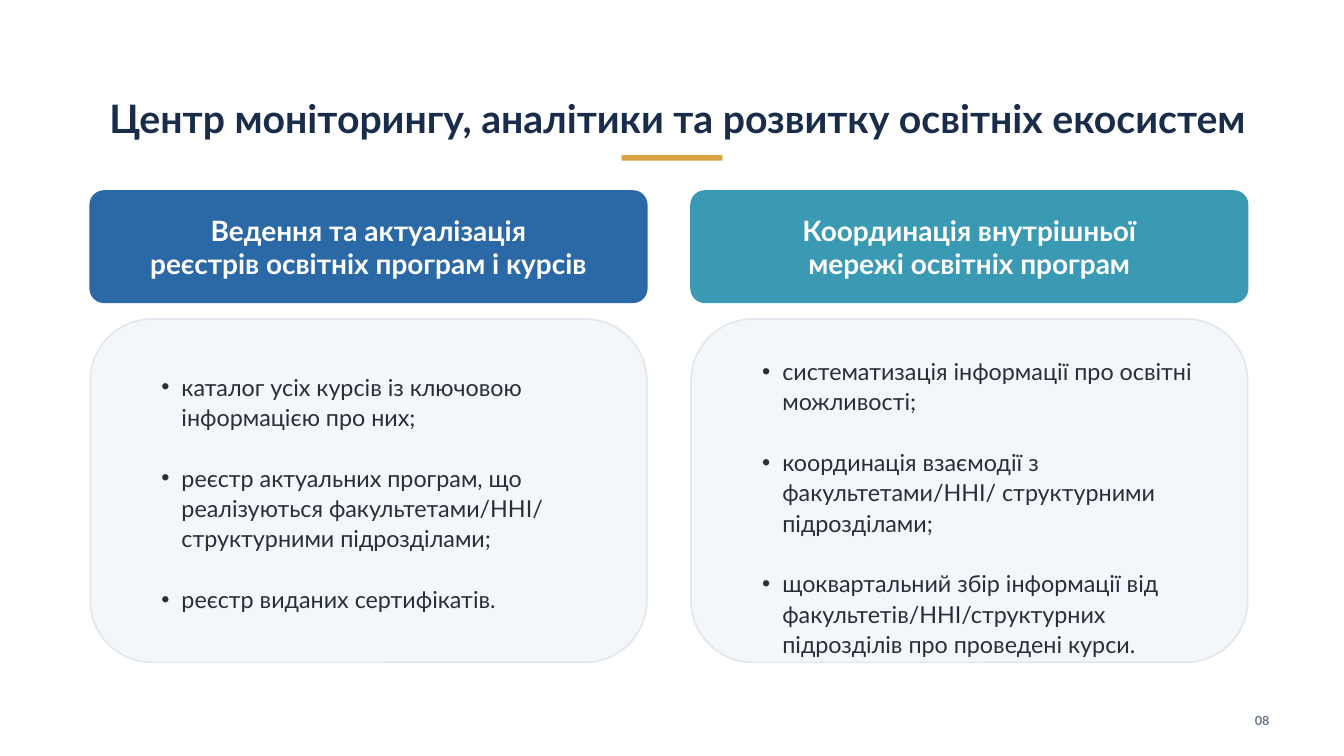
"""Build a two-column slide on the work of an educational monitoring centre."""
from pptx import Presentation
from pptx import util as u
from pptx.dml.color import RGBColor
from pptx.enum import shapes, text

NAVY = RGBColor(0x19, 0x2D, 0x4B)
GOLD = RGBColor(0xDA, 0xA5, 0x41)
BLUE = RGBColor(0x2A, 0x69, 0xA5)
TEAL = RGBColor(0x3A, 0x9A, 0xB4)
PALE = RGBColor(0xF4, 0xF7, 0xFA)
BORDER = RGBColor(0xE1, 0xE7, 0xED)
INK = RGBColor(0x26, 0x2F, 0x3A)
GREY = RGBColor(0x69, 0x78, 0x8A)
WHITE = RGBColor(0xFF, 0xFF, 0xFF)

TOP, MIDDLE = text.MSO_ANCHOR.TOP, text.MSO_ANCHOR.MIDDLE
LEFT, CENTER, RIGHT = text.PP_ALIGN.LEFT, text.PP_ALIGN.CENTER, text.PP_ALIGN.RIGHT
RECTANGLE, ROUNDED = shapes.MSO_SHAPE.RECTANGLE, shapes.MSO_SHAPE.ROUNDED_RECTANGLE

COLUMNS = [
    {
        "heading": ["Ведення та актуалізація", "реєстрів освітніх програм і курсів"],
        "color": BLUE,
        "list_top": 14,
        "list_height": 9.07,
        "items": [
            "каталог усіх курсів із ключовою інформацією про них;",
            "реєстр актуальних програм, що реалізуються факультетами/ННІ/ структурними підрозділами;",
            "реєстр виданих сертифікатів.",
        ],
    },
    {
        "heading": ["Координація внутрішньої", "мережі освітніх програм"],
        "color": TEAL,
        "list_top": 13.41,
        "list_height": 10.21,
        "items": [
            "систематизація інформації про освітні можливості;",
            "координація взаємодії з факультетами/ННІ/ структурними підрозділами;",
            "щоквартальний збір інформації від факультетів/ННІ/структурних підрозділів про проведені курси.",
        ],
    },
]


def write(box, lines, size, color, spacing, align, bold=True, anchor=TOP, gap=0, margin=0):
    frame = box.text_frame
    frame_format = {
        "word_wrap": True,
        "auto_size": text.MSO_AUTO_SIZE.NONE,
        "vertical_anchor": anchor,
        **{f"margin_{side}": u.Cm(margin) for side in ("left", "top", "right", "bottom")},
    }
    for name, value in frame_format.items():
        setattr(frame, name, value)
    for index, line in enumerate(lines):
        para = frame.paragraphs[0] if index == 0 else frame.add_paragraph()
        para_format = {
            "alignment": align,
            "line_spacing": u.Pt(spacing),
            "space_before": u.Pt(gap if index else 0),
            "space_after": u.Pt(0),
        }
        for name, value in para_format.items():
            setattr(para, name, value)
        span = para.add_run()
        span.text = line
        span.font.color.rgb = color
        for name, value in {"name": "Lato", "size": u.Pt(size), "bold": bold}.items():
            setattr(span.font, name, value)


def add_panel(page, kind, place, fill, line=None):
    panel = page.shapes.add_shape(kind, *map(u.Cm, place))
    panel.shadow.inherit = False
    panel.fill.solid()
    panel.fill.fore_color.rgb = fill
    if line is None:
        panel.line.fill.background()
    else:
        panel.line.color.rgb = line
        panel.line.width = u.Pt(1.75)
    return panel


deck = Presentation()
deck.slide_width, deck.slide_height = u.Cm(50.8), u.Cm(28.58)
page = deck.slides.add_slide(deck.slide_layouts[3])
title, *lists = page.placeholders

title.left, title.top, title.width, title.height = map(u.Cm, (4.06, 3.58, 43.1, 1.78))
write(title, ["Центр моніторингу, аналітики та розвитку освітніх екосистем"], 42, NAVY, 50.4, CENTER)
add_panel(page, RECTANGLE, (23.5, 5.87, 3.81, 0.2), GOLD)

for index, (column, box) in enumerate(zip(COLUMNS, lists)):
    left = 3.38 + 22.71 * index
    header = add_panel(page, ROUNDED, (left, 7.19, 21.1, 4.27), column["color"])
    header.adjustments[0] = 0.13
    write(header, column["heading"], 30, WHITE, 36, CENTER, anchor=MIDDLE, margin=0.15)

    card = add_panel(page, ROUNDED, (left + 0.03, 12.06, 21.04, 12.98), PALE, BORDER)
    card.adjustments[0] = 0.18

    place = (left + 1.98, column["list_top"], 17.17, column["list_height"])
    box.left, box.top, box.width, box.height = map(u.Cm, place)
    write(box, column["items"], 25, INK, 32.5, LEFT, bold=False, gap=32.5)
    for para in box.text_frame.paragraphs:
        properties = para._p.get_or_add_pPr()
        properties.set("marL", str(u.Cm(1.5)))
        properties.set("indent", str(u.Cm(-0.76)))
    page.shapes.element.append(box.element)

number = page.shapes.add_textbox(*map(u.Cm, (46.38, 26.95, 1.6, 0.58)))
write(number, ["08"], 13.5, GREY, 16.2, RIGHT)

deck.save("out.pptx")
